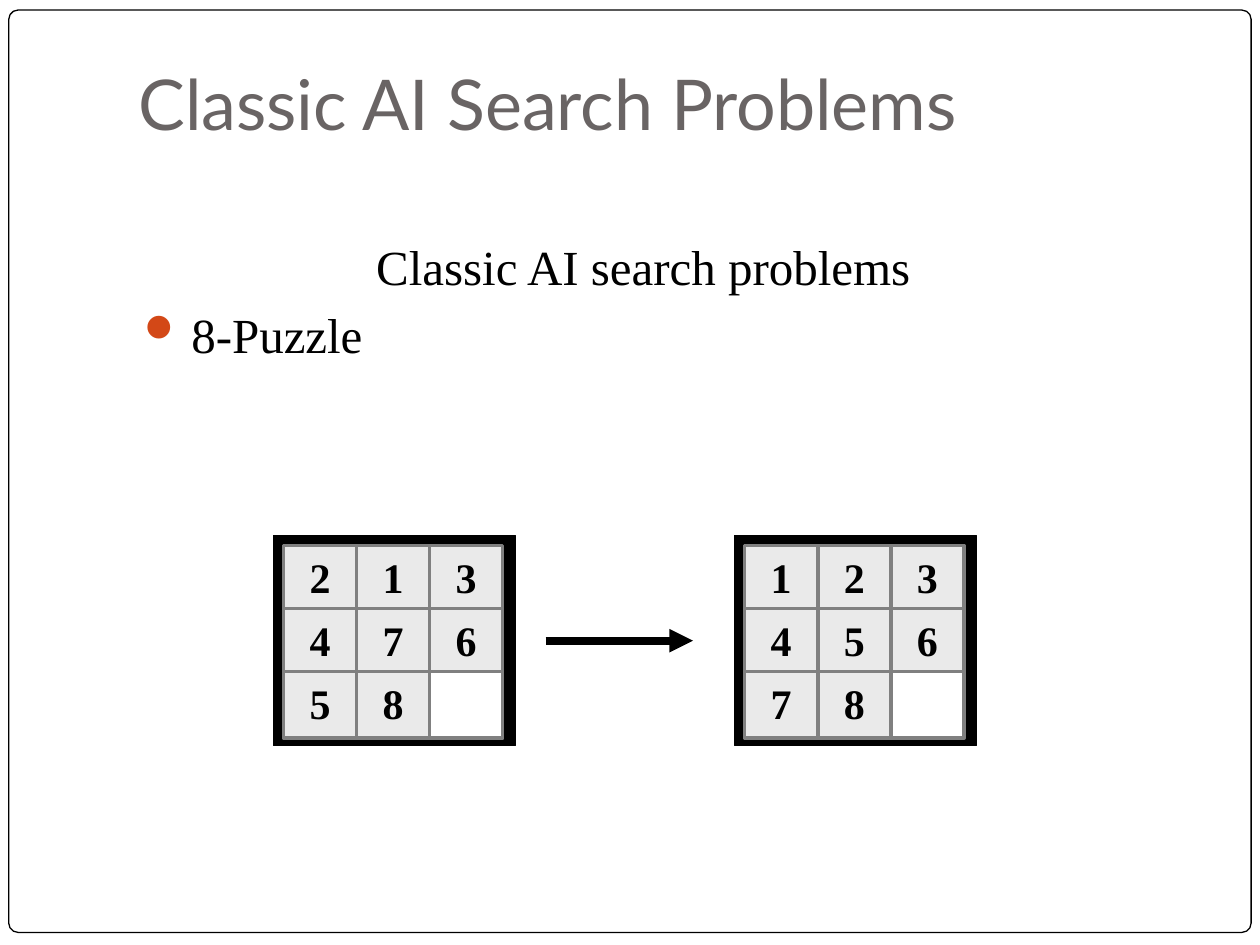
"""Build the slide on the 8-puzzle as a classic AI search problem."""
from lxml import etree
from pptx import Presentation
from pptx.dml.color import RGBColor
from pptx.enum.shapes import MSO_CONNECTOR, MSO_SHAPE
from pptx.enum.text import MSO_ANCHOR, PP_ALIGN
from pptx.oxml.ns import qn
from pptx.util import Inches, Pt

RECTANGLE, ROUNDED = MSO_SHAPE.RECTANGLE, MSO_SHAPE.ROUNDED_RECTANGLE
STRAIGHT = MSO_CONNECTOR.STRAIGHT
TOP, BOTTOM = MSO_ANCHOR.TOP, MSO_ANCHOR.BOTTOM
LEFT, CENTER = PP_ALIGN.LEFT, PP_ALIGN.CENTER

TITLE = "Classic AI Search Problems"
HEADING = "Classic AI search problems"
BULLET = "8-Puzzle"
PUZZLES = [
    (2.17, ["213", "476", "58 "]),
    (5.83, ["123", "456", "78 "]),
]
COLORS = {
    "white": "FFFFFF", "black": "000000", "title": "696464",
    "bullet": "D34817", "tile": "EAEAEA", "edge": "808080",
}
TITLE_FONT, BODY_FONT = "Lato", "Times New Roman"
BOARD_TOP, BOARD_WIDTH, BOARD_HEIGHT = 4.25, 1.92, 1.67
BORDER = 0.08
TILE_WIDTH, TILE_HEIGHT, ROW_STEP = 0.58, 0.53, 0.5
HANGING = 0.42


def color(name):
    return RGBColor.from_string(COLORS[name])


def add_box(shapes, kind, box, fill, line, line_width):
    shape = shapes.add_shape(kind, *map(Inches, box))
    shape.shadow.inherit = False
    shape.fill.solid()
    shape.fill.fore_color.rgb = color(fill)
    shape.line.color.rgb = color(line)
    shape.line.width = Pt(line_width)
    return shape


def add_text_box(slide, box, anchor, bottom_inset):
    frame = slide.shapes.add_textbox(*map(Inches, box)).text_frame
    frame.word_wrap = True
    frame.vertical_anchor = anchor
    frame.margin_bottom = Inches(bottom_inset)
    return frame


def write(paragraph, text, size, font=BODY_FONT, ink="black", bold=False,
          align=LEFT, before=0, hanging=0, bullet=None):
    paragraph.alignment = align
    paragraph.space_before = Pt(before)
    properties = paragraph._p.get_or_add_pPr()
    if hanging:
        properties.set("marL", str(Inches(hanging)))
        properties.set("indent", str(-Inches(hanging)))
    if bullet:
        bullet_color = etree.SubElement(properties, qn("a:buClr"))
        etree.SubElement(bullet_color, qn("a:srgbClr"), val=COLORS["bullet"])
        etree.SubElement(properties, qn("a:buChar"), char=bullet)
    run = paragraph.add_run()
    run.text = text
    run.font.name = font
    run.font.size = Pt(size)
    run.font.bold = bold
    run.font.color.rgb = color(ink)


def add_puzzle(slide, left, rows):
    shapes = slide.shapes.add_group_shape().shapes
    add_box(shapes, RECTANGLE, (left, BOARD_TOP, BOARD_WIDTH, BOARD_HEIGHT),
            "black", "black", 0.75)
    for row, digits in enumerate(rows):
        for column, digit in enumerate(digits):
            box = (left + BORDER + column * TILE_WIDTH,
                   BOARD_TOP + BORDER + row * ROW_STEP, TILE_WIDTH, TILE_HEIGHT)
            filled = digit.strip()
            tile = add_box(shapes, RECTANGLE, box,
                           "tile" if filled else "white", "edge", 2)
            if filled:
                tile.text_frame.vertical_anchor = TOP
                write(tile.text_frame.paragraphs[0], digit, 24,
                      bold=True, align=CENTER)


def add_arrow(slide, start, end, y):
    arrow = slide.shapes.add_connector(
        STRAIGHT, Inches(start), Inches(y), Inches(end), Inches(y))
    arrow.line.color.rgb = color("black")
    arrow.line.width = Pt(4.5)
    etree.SubElement(arrow.line._get_or_add_ln(), qn("a:tailEnd"), type="triangle")
    etree.SubElement(arrow._element.spPr, qn("a:effectLst"))


def main():
    presentation = Presentation()
    presentation.slide_width, presentation.slide_height = Inches(10), Inches(7.5)
    slide = presentation.slides.add_slide(presentation.slide_layouts[6])

    frame = add_box(slide.shapes, ROUNDED, (0.07, 0.08, 9.86, 7.32),
                    "white", "black", 0.75)
    frame.adjustments[0] = 0.01

    title = add_text_box(slide, (1, 0.33, 8.52, 0.92), BOTTOM, 0.1)
    write(title.paragraphs[0], TITLE, 40, font=TITLE_FONT, ink="title")

    body = add_text_box(slide, (1, 1.83, 8.21, 1.46), TOP, 0.05)
    write(body.paragraphs[0], HEADING, 28, align=CENTER, hanging=HANGING)
    write(body.add_paragraph(), BULLET, 28, before=5, hanging=HANGING, bullet="⚫")

    for left, rows in PUZZLES:
        add_puzzle(slide, left, rows)
    add_arrow(slide, 4.33, 5.5, BOARD_TOP + BOARD_HEIGHT / 2)
    presentation.save("out.pptx")


if __name__ == "__main__":
    main()
